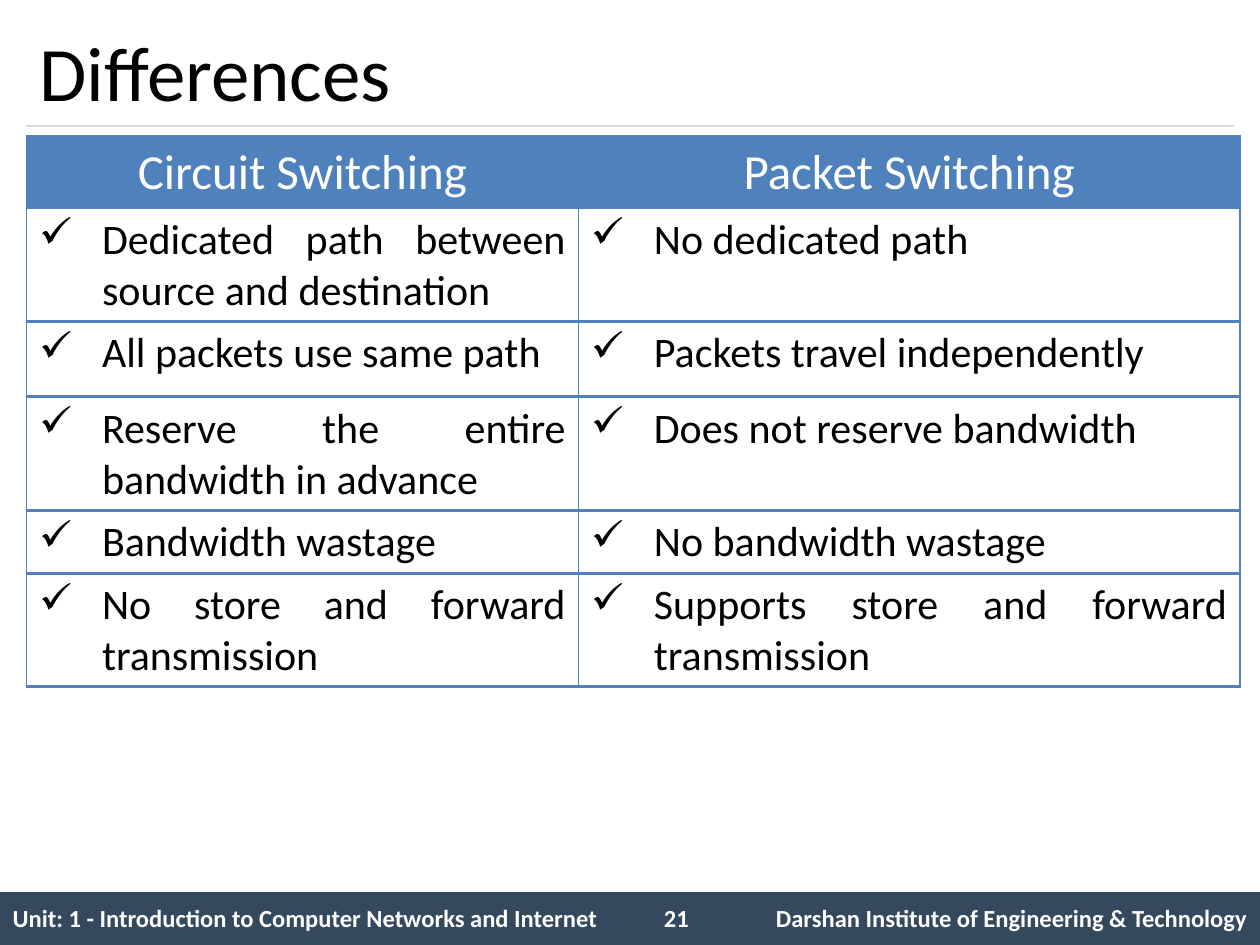
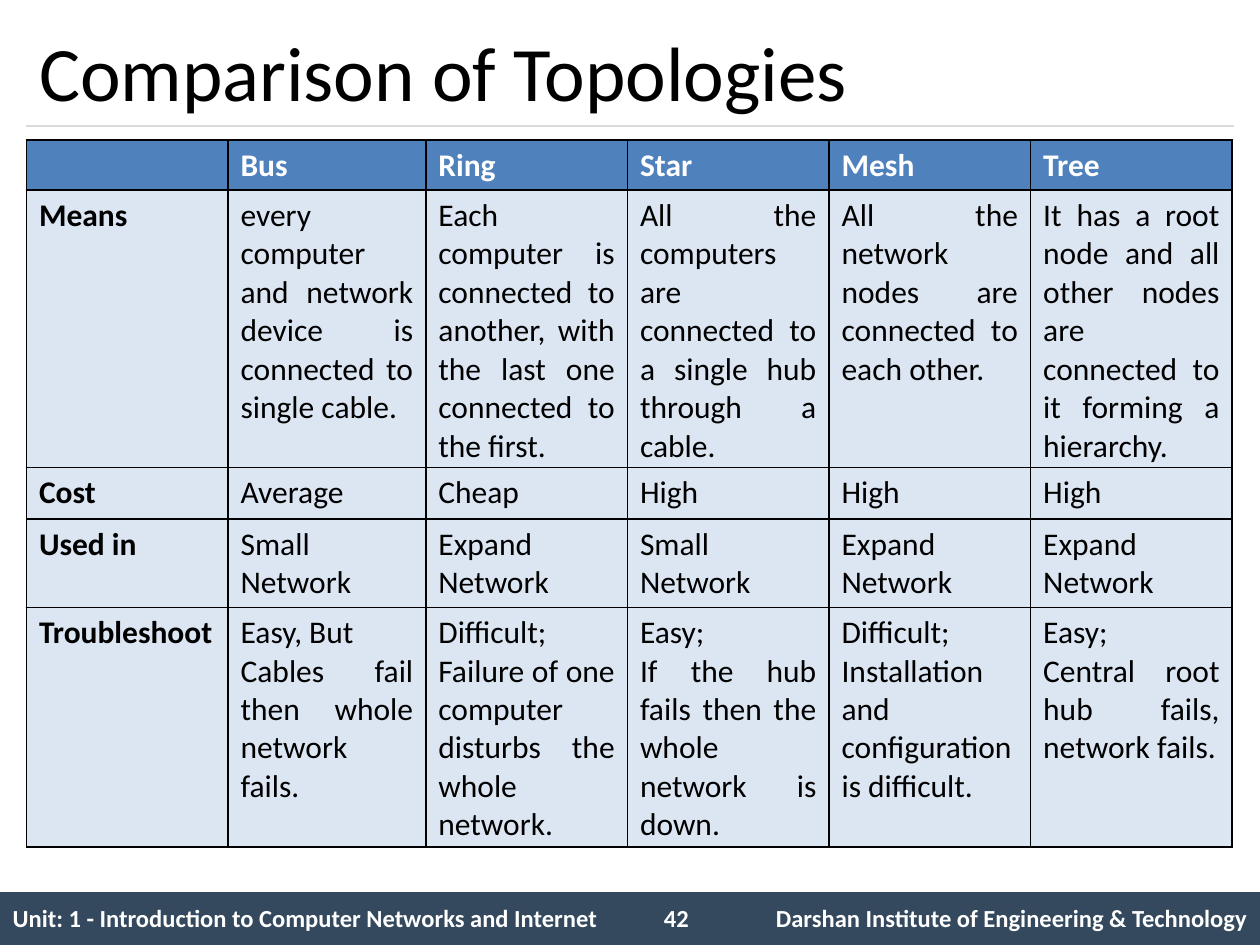
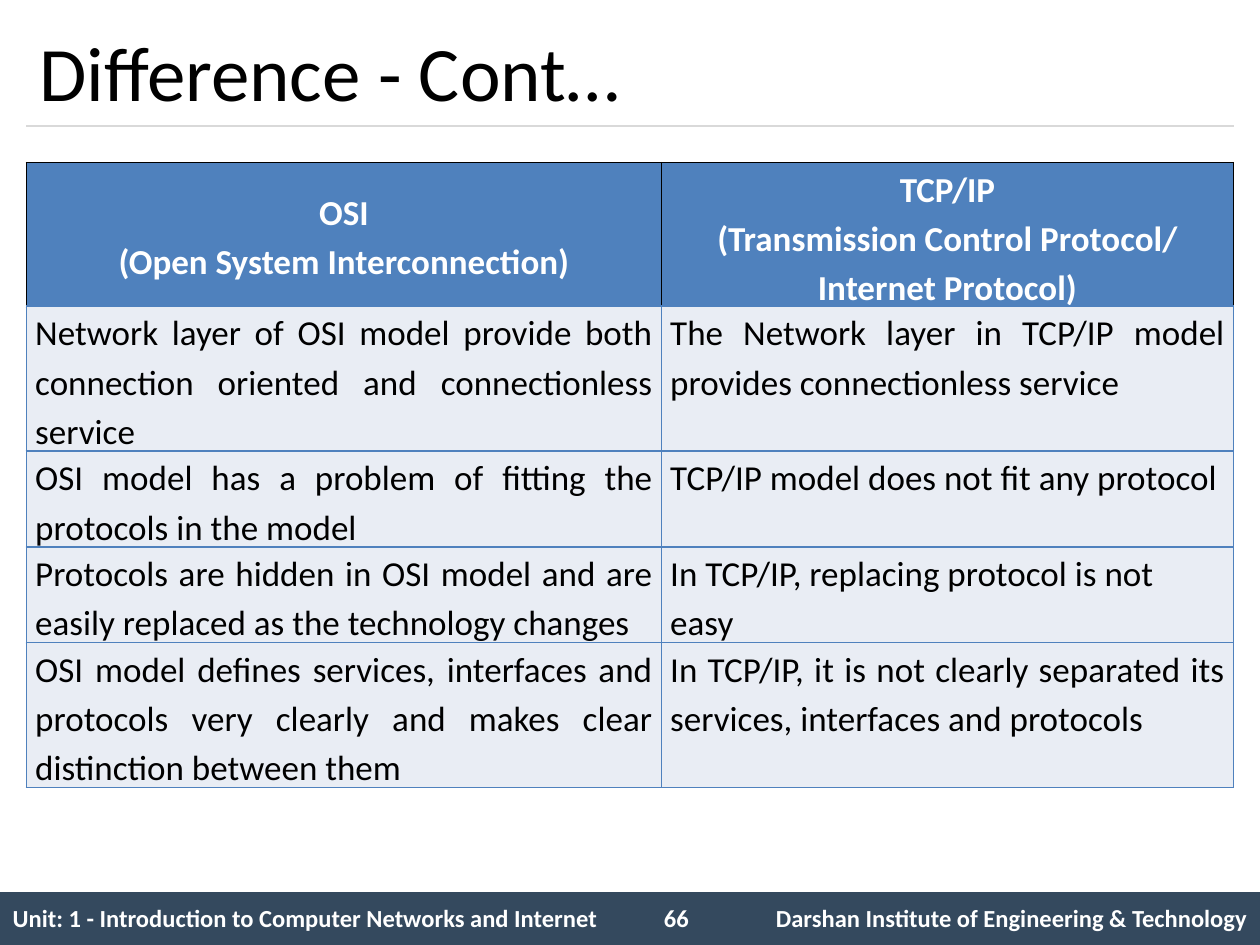
"""Build three comparison slides about computer networks."""
from pptx import Presentation
from pptx.dml.color import RGBColor
from pptx.enum.shapes import MSO_CONNECTOR as Connector, MSO_SHAPE as Shape
from pptx.enum.text import MSO_ANCHOR as Anchor, MSO_AUTO_SIZE as AutoSize, PP_ALIGN as Align
from pptx.oxml.ns import qn
from pptx.oxml.xmlchemy import OxmlElement
from pptx.util import Inches, Pt

WHITE = RGBColor(0xFF, 0xFF, 0xFF)
BLACK = RGBColor(0, 0, 0)
NAVY = RGBColor(0x34, 0x49, 0x5E)
BLUE = RGBColor(0x4F, 0x81, 0xBD)
PALE_BLUE = RGBColor(0xDC, 0xE6, 0xF2)
PALE_GREY = RGBColor(0xE9, 0xED, 0xF4)
RULE_GREY = RGBColor(0xD9, 0xD9, 0xD9)

FONT = "Calibri"
PLAIN_TABLE = "{2D5ABB26-0587-4C30-8999-92F81FD0307C}"
WIDTH, HEIGHT = 10, 7.5
MARGIN = 0.21
BAND_TOP = 7.08
RULE_TOP = 1
ALIGNS = {"l": Align.LEFT, "c": Align.CENTER, "r": Align.RIGHT, "j": Align.JUSTIFY}

UNIT = "Unit: 1 - Introduction to Computer Networks and Internet"
INSTITUTE = "Darshan Institute of Engineering & Technology"
FOOTER_STYLE = {"size": 14, "color": WHITE, "bold": True, "anchor": Anchor.MIDDLE}
TIGHT = {"size": 20, "spacing": 1.15, "insets": (0.07, 0)}
FRAME = {"L": 1, "R": 1, "T": 1, "B": 1}

SLIDES = [
    {
        "title": "Differences", "number": "21", "top": 1.08, "columns": (4.38, 5.25),
        "header": {"size": 28, "color": WHITE, "fill": BLUE, "line": BLUE,
                   "borders": {"T": 1, "B": 1}, "outer": True},
        "body": {"size": 24, "color": BLACK, "line": BLUE, "bullet": "✓",
                 "borders": {**FRAME, "B": 2}},
        "rows": [
            (0.57, "cc", ["Circuit Switching", "Packet Switching"]),
            (0.9, "jj", ["Dedicated path between source and destination", "No dedicated path"]),
            (0.6, "jj", ["All packets use same path", "Packets travel independently"]),
            (0.9, "jj", ["Reserve the entire bandwidth in advance",
                         "Does not reserve bandwidth"]),
            (0.5, "jj", ["Bandwidth wastage", "No bandwidth wastage"]),
            (0.9, "jj", ["No store and forward transmission",
                         "Supports store and forward transmission"]),
        ],
    },
    {
        "title": "Comparison of Topologies", "number": "42", "top": 1.11,
        "columns": (1.6, 1.57, 1.6, 1.6, 1.6, 1.6),
        "header": {"size": 18, "color": WHITE, "bold": True, "fill": BLUE,
                   "line": BLACK, "borders": FRAME},
        "body": {"size": 18, "color": BLACK, "fill": PALE_BLUE, "line": BLACK,
                 "borders": FRAME, "bold_first": True},
        "rows": [
            (0.4, "llllll", ["", "Bus", "Ring", "Star", "Mesh", "Tree"]),
            (2.2, "jjjjjj", [
                "Means",
                "every computer and network device is connected to single cable.",
                "Each computer is connected to another, with the last one connected to the first.",
                "All the computers are connected to a single hub through a cable.",
                "All the network nodes are connected to each other.",
                "It has a root node and all other nodes are connected to it forming a hierarchy."]),
            (0.41, "llllll", ["Cost", "Average", "Cheap", "High", "High", "High"]),
            (0.7, "llllll", ["Used in", "Small Network", "Expand Network", "Small Network",
                             "Expand Network", "Expand Network"]),
            (1.9, "jjjjjj", [
                "Troubleshoot",
                "Easy, But\nCables fail then whole network fails.",
                "Difficult; Failure of one computer disturbs the whole network.",
                "Easy;\nIf the hub fails then the whole network is down.",
                "Difficult;\nInstallation and configuration is difficult.",
                "Easy;\nCentral root hub fails, network fails."]),
        ],
    },
    {
        "title": "Difference - Cont…", "number": "66", "top": 1.29, "columns": (5.04, 4.54),
        "header": {**TIGHT, "color": WHITE, "bold": True, "fill": BLUE, "line": BLACK,
                   "borders": FRAME, "anchor": Anchor.MIDDLE},
        "body": {**TIGHT, "color": BLACK, "fill": PALE_GREY, "line": BLUE, "borders": FRAME},
        "rows": [
            (1.14, "cc", ["OSI\n(Open System Interconnection)",
                          "TCP/IP\n(Transmission Control Protocol/ Internet Protocol)"]),
            (1.15, "jj", ["Network layer of OSI model provide both connection oriented "
                          "and connectionless service",
                          "The Network layer in TCP/IP model provides connectionless service"]),
            (0.76, "jl", ["OSI model has a problem of fitting the protocols in the model",
                          "TCP/IP model does not fit any protocol"]),
            (0.76, "jl", ["Protocols are hidden in OSI model and are easily replaced "
                          "as the technology changes",
                          "In TCP/IP, replacing protocol is not easy"]),
            (1.13, "jj", ["OSI model defines services, interfaces and protocols very clearly "
                          "and makes clear distinction between them",
                          "In TCP/IP, it is not clearly separated its services, "
                          "interfaces and protocols"]),
        ],
    },
]


def add_bullet(para, mark):
    properties = para._p.get_or_add_pPr()
    properties.set("marL", str(Inches(0.5)))
    properties.set("indent", str(Inches(-0.5)))
    bullet = OxmlElement("a:buChar")
    bullet.set("char", mark)
    properties.append(bullet)


def write(frame, text, style, align="l"):
    frame.text = text
    font_values = {"name": FONT, "size": Pt(style["size"]), "bold": style.get("bold", False)}
    for para in frame.paragraphs:
        para.alignment = ALIGNS[align]
        if "spacing" in style:
            para.line_spacing = style["spacing"]
        if "bullet" in style:
            add_bullet(para, style["bullet"])
        for span in para.runs:
            for name, value in font_values.items():
                setattr(span.font, name, value)
            span.font.color.rgb = style["color"]


def add_borders(cell, borders, color):
    properties = cell._tc.get_or_add_tcPr()
    for side in "LRTB":
        if side in borders:
            line = OxmlElement(f"a:ln{side}")
            line.set("w", str(Pt(borders[side])))
            fill = OxmlElement("a:solidFill")
            shade = OxmlElement("a:srgbClr")
            shade.set("val", str(color))
            fill.append(shade)
            line.append(fill)
            properties.append(line)


def add_strip(page, left, top, columns, row, style):
    """Add a one-row table."""
    height, aligns, texts = row
    last = len(columns) - 1
    table = page.shapes.add_table(1, len(columns), Inches(left), Inches(top),
                                  Inches(sum(columns)), Inches(height)).table
    table.first_row = table.horz_banding = False
    table._tbl.tblPr.find(qn("a:tableStyleId")).text = PLAIN_TABLE
    for index, (width, align, text) in enumerate(zip(columns, aligns, texts)):
        table.columns[index].width = Inches(width)
        cell = table.cell(0, index)
        cell.vertical_anchor = style.get("anchor", Anchor.TOP)
        side, edge = style.get("insets", (0.1, 0.05))
        cell.margin_left = cell.margin_right = Inches(side)
        cell.margin_top = cell.margin_bottom = Inches(edge)
        bold = style.get("bold", False) or (style.get("bold_first", False) and index == 0)
        write(cell.text_frame, text, {**style, "bold": bold}, align)
        borders = dict(style.get("borders", {}))
        if style.get("outer"):
            borders.update({"L": 1} if index == 0 else {"R": 1} if index == last else {})
        add_borders(cell, borders, style.get("line"))
        if "fill" in style:
            cell.fill.solid()
            cell.fill.fore_color.rgb = style["fill"]
        else:
            cell.fill.background()


def add_chrome(page, title, number):
    """Add the title, rule and footer band that every slide has."""
    band = page.shapes.add_shape(Shape.RECTANGLE, 0, Inches(BAND_TOP),
                                 Inches(WIDTH), Inches(HEIGHT - BAND_TOP))
    band.shadow.inherit = False
    band.fill.solid()
    band.fill.fore_color.rgb = NAVY
    band.line.fill.background()

    rule = page.shapes.add_connector(Connector.STRAIGHT, Inches(MARGIN), Inches(RULE_TOP),
                                     Inches(WIDTH - MARGIN), Inches(RULE_TOP))
    rule.line.color.rgb = RULE_GREY
    rule.line.width = Pt(0.75)
    rule._element.spPr.append(OxmlElement("a:effectLst"))

    add_strip(page, 0, BAND_TOP, (5.08, 0.67, 4.25),
              (0.43, "llr", [UNIT, "", INSTITUTE]), FOOTER_STYLE)
    box = page.shapes.add_textbox(Inches(5.17), Inches(7.12), Inches(0.58), Inches(0.34))
    box.text_frame.word_wrap = True
    box.text_frame.auto_size = AutoSize.SHAPE_TO_FIT_TEXT
    write(box.text_frame, number, FOOTER_STYLE)

    heading = page.shapes.title
    place = {"left": MARGIN, "top": 0.12, "width": WIDTH - 2 * MARGIN, "height": 0.88}
    for name, value in place.items():
        setattr(heading, name, Inches(value))
    heading.text_frame.vertical_anchor = Anchor.MIDDLE
    write(heading.text_frame, title, {"size": 44, "color": BLACK})


def main():
    deck = Presentation()
    deck.slide_width, deck.slide_height = Inches(WIDTH), Inches(HEIGHT)
    for content in SLIDES:
        page = deck.slides.add_slide(deck.slide_layouts[5])
        add_chrome(page, content["title"], content["number"])
        top = content["top"]
        for index, row in enumerate(content["rows"]):
            style = content["body" if index else "header"]
            add_strip(page, MARGIN, top, content["columns"], row, style)
            top += row[0]
    deck.save("out.pptx")


if __name__ == "__main__":
    main()
